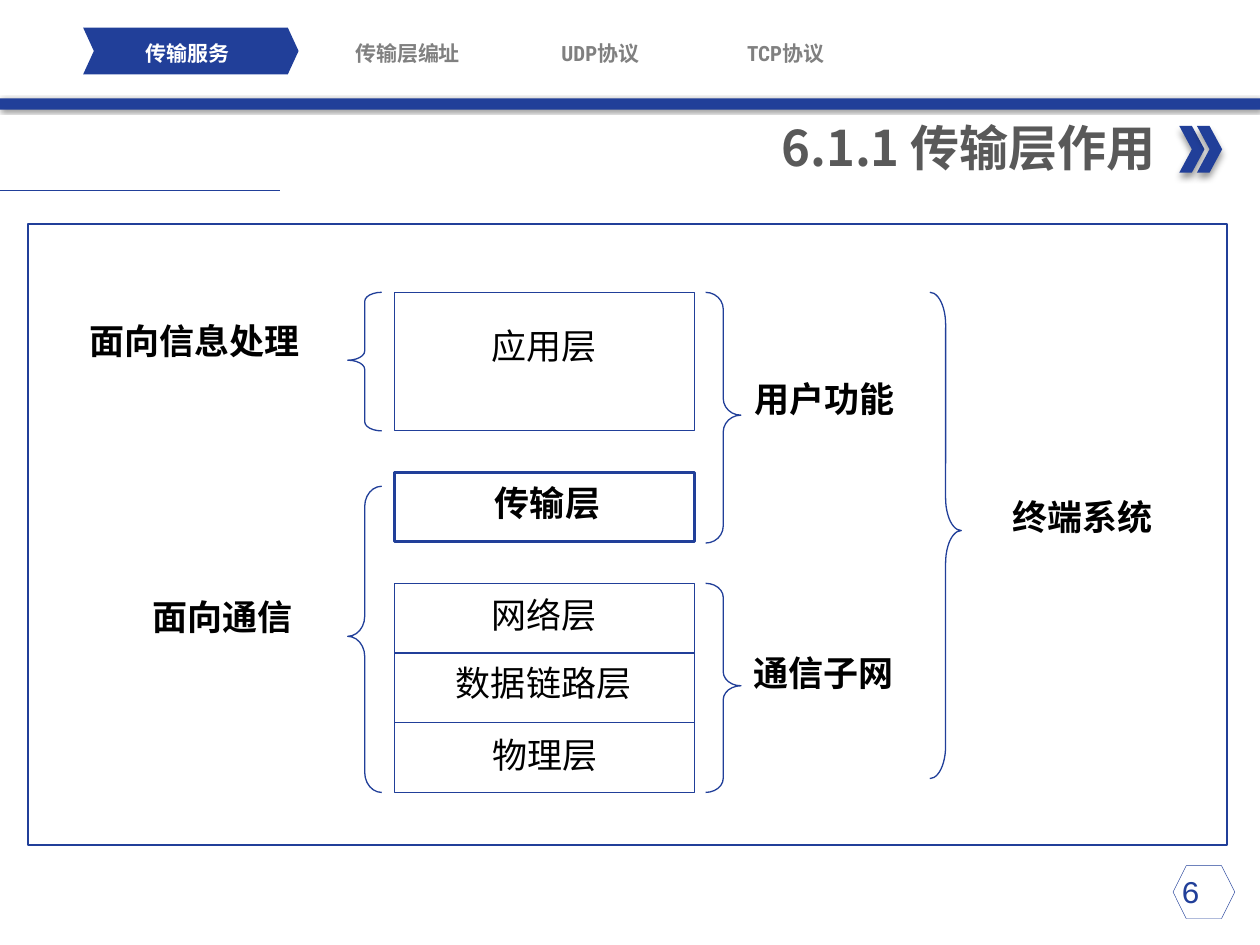
from lxml.etree import SubElement
from pptx import Presentation
from pptx.dml.color import RGBColor
from pptx.enum.shapes import MSO_CONNECTOR as LINK, MSO_SHAPE as SHAPE
from pptx.enum.text import MSO_ANCHOR as ANCHOR, MSO_AUTO_SIZE as FIT, PP_ALIGN as ALIGN
from pptx.oxml.ns import qn
from pptx.util import Inches, Pt

BLUE = RGBColor(0x21, 0x3F, 0x99)
DARK = RGBColor(0x59, 0x59, 0x59)
GRAY = RGBColor(0x80, 0x80, 0x80)
BLACK = RGBColor(0, 0, 0)
WHITE = RGBColor(255, 255, 255)
CJK = "Noto Sans CJK SC"

# The slide is a grid of 100 columns by 75 rows of square cells
deck = Presentation()
deck.slide_width, deck.slide_height = Inches(10), Inches(7.5)
CELL = deck.slide_width / 100
slide = deck.slides.add_slide(deck.slide_layouts[6])
page = slide.shapes


def draw(parent, kind, place, fill=None, line=None, adjust=(), shadow=None):
    """Add a preset shape, or a line when place holds its two ends."""
    spots = [round(v * CELL) for v in place]
    if isinstance(kind, LINK):
        item = parent.add_connector(kind, *spots)
        SubElement(item._element.spPr, qn("a:effectLst"))
    else:
        item = parent.add_shape(kind, *spots)
        item.shadow.inherit = False
        item.fill.background()
        if fill is not None:
            item.fill.solid()
            item.fill.fore_color.rgb = fill
        for i, value in enumerate(adjust):
            item.adjustments[i] = value
    if line:
        item.line.color.rgb = BLUE
        item.line.width = Pt(line)
    else:
        item.line.fill.background()
    if shadow:
        blur, distance, angle = shadow
        effects = item._element.spPr.find(qn("a:effectLst"))
        outer = SubElement(effects, qn("a:outerShdw"), blurRad=str(Pt(blur)),
                           dist=str(Pt(distance)), dir=str(angle * 60000),
                           algn="ctr", rotWithShape="0")
        black = SubElement(outer, qn("a:srgbClr"), val=str(BLACK))
        SubElement(black, qn("a:alpha"), val="40000")


def write(parent, words, place, size=20, color=BLACK, bold=True, font=CJK,
          align=ALIGN.LEFT, **frame_format):
    """Add a text box; frame_format holds further text frame settings."""
    box = parent.add_textbox(*[round(v * CELL) for v in place])
    frame = box.text_frame
    for key, value in {"word_wrap": True, **frame_format}.items():
        setattr(frame, key, value)
    line = frame.paragraphs[0]
    line.alignment = align
    run = line.add_run()
    run.text = words
    for key, value in {"name": font, "size": Pt(size), "bold": bold}.items():
        setattr(run.font, key, value)
    run.font.color.rgb = color
    SubElement(run._r.get_or_add_rPr(), qn("a:ea"), typeface=font)


# Page number
draw(page, SHAPE.HEXAGON, (93.1, 68.7, 4.9, 4.2), line=0.25)
write(page, "6", (90.9, 68.7, 8.7, 4), 18, BLUE, False, "Courier New",
      ALIGN.CENTER, margin_right=round(2.5 * CELL))

# Header bar and double arrow
draw(page, SHAPE.RECTANGLE, (0, 7.8, 100, 0.9), BLUE, shadow=(2, 1, 45))
arrows = page.add_group_shape().shapes
for left in (93.6, 95):
    draw(arrows, SHAPE.CHEVRON, (left, 10, 2, 3.7), BLUE, shadow=(4, 3, 90))

# Title and its rule
write(page, "6.1.1 传输层作用", (7.6, 8.8, 85.1, 5.7), 28, DARK, align=ALIGN.RIGHT)
draw(page, LINK.STRAIGHT, (0, 15.1, 22.2, 15.1), line=0.5)

# Chapter navigation
draw(page, SHAPE.CHEVRON, (6.6, 2.2, 17.1, 3.7), BLUE, adjust=[0.23])
no_margins = dict.fromkeys(
    ("margin_left", "margin_top", "margin_right", "margin_bottom"), 0)
for chapter, left, color in (("传输服务", 7.6, WHITE), ("传输层编址", 25.1, GRAY),
                             ("UDP协议", 40.4, GRAY), ("TCP协议", 55.1, GRAY)):
    write(page, chapter, (left, 3.2, 14.5, 2), 12, color, True, "Roboto Condensed",
          ALIGN.CENTER, vertical_anchor=ANCHOR.MIDDLE, **no_margins)

# Layer stack: the three lower layers share one box
diagram = page.add_group_shape().shapes
STACK_LEFT, STACK_WIDTH = 31.3, 23.8
SUBNET_TOP, LAYER = 46.3, 5.53
for top, height, weight in ((23.2, 11, 0.75), (SUBNET_TOP, 3 * LAYER, 0.75),
                            (37.5, 5.5, 1.5)):
    draw(diagram, SHAPE.RECTANGLE, (STACK_LEFT, top, STACK_WIDTH, height), line=weight)
for i in (1, 2):
    y = SUBNET_TOP + i * LAYER
    draw(diagram, LINK.STRAIGHT, (STACK_LEFT, y, STACK_LEFT + STACK_WIDTH, y), line=0.75)
for layer, left, top, width in (("应用层", 38, 25.3, 11), ("传输层", 38.3, 37.7, 11),
                                ("网络层", 38, 46.6, 11), ("数据链路层", 35.2, 52, 16.9),
                                ("物理层", 38.1, 57.7, 11)):
    write(diagram, layer, (left, top, width, 5.7), bold=layer == "传输层",
          word_wrap=False, auto_size=FIT.SHAPE_TO_FIT_TEXT)

# Braces
for kind, left, top, width, height, curve in (
        (SHAPE.LEFT_BRACE, 27.6, 23.2, 2.7, 11, 0.27),
        (SHAPE.LEFT_BRACE, 27.6, 38.6, 2.7, 24.3, 0.59),
        (SHAPE.RIGHT_BRACE, 56, 23.2, 2.8, 19.9, 0.48),
        (SHAPE.RIGHT_BRACE, 56, 46.3, 2.8, 16.6, 0.4),
        (SHAPE.RIGHT_BRACE, 73.8, 23.2, 2.5, 38.6, 1.03)):
    draw(diagram, kind, (left, top, width, height), line=0.75, adjust=(curve, 0.49))

# Brace labels
for role, left, top, width in (("面向信息处理", 6.1, 24.9, 22.3), ("面向通信", 11.1, 46.8, 16.4),
                               ("用户功能", 58.9, 29.5, 16.6), ("通信子网", 58.8, 51.2, 16.6),
                               ("终端系统", 79.4, 38.8, 16.6)):
    write(diagram, role, (left, top, width, 5.7))

# Frame around the diagram
draw(page, SHAPE.RECTANGLE, (2.2, 17.8, 95.2, 49.3), line=1)

deck.save("out.pptx")
